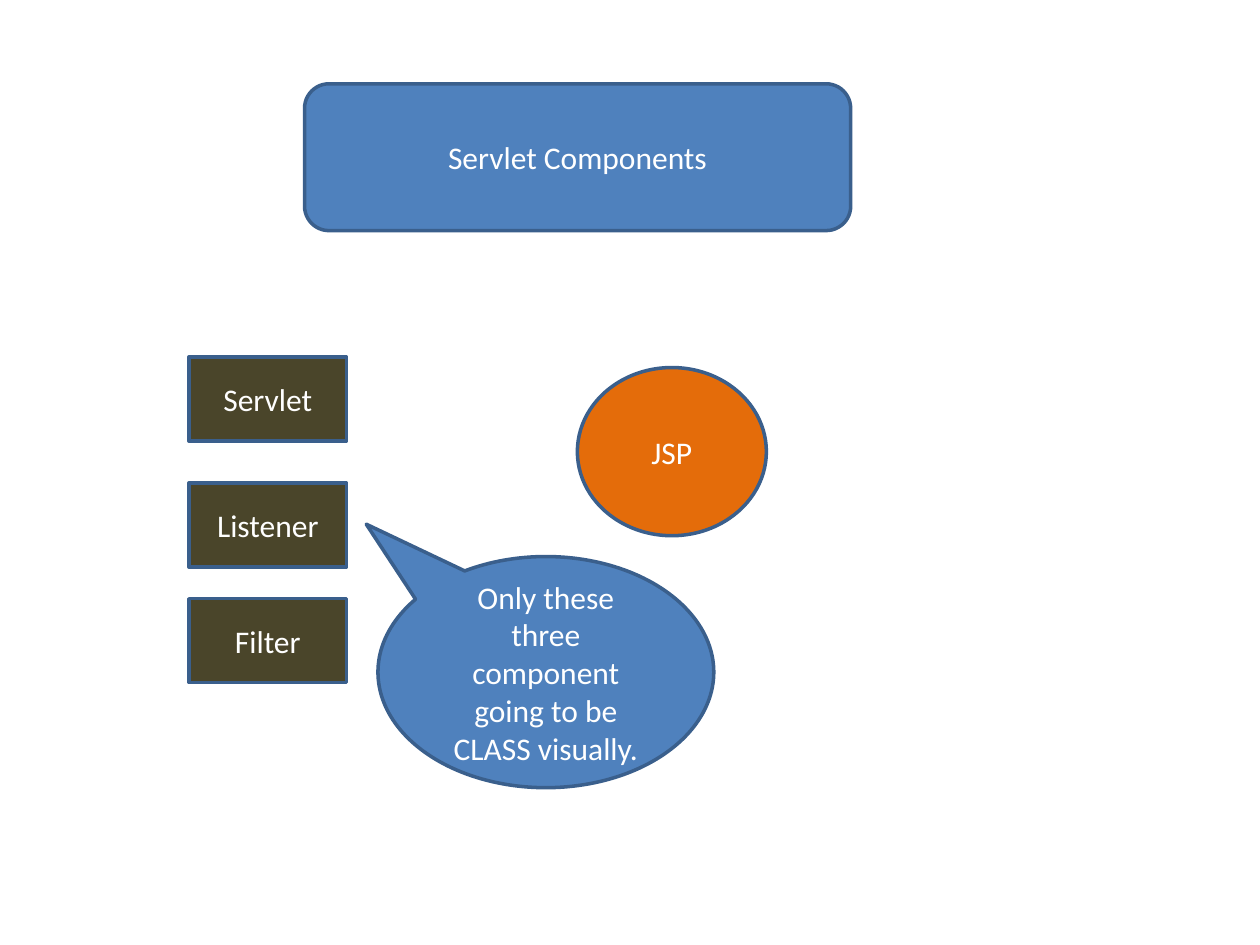
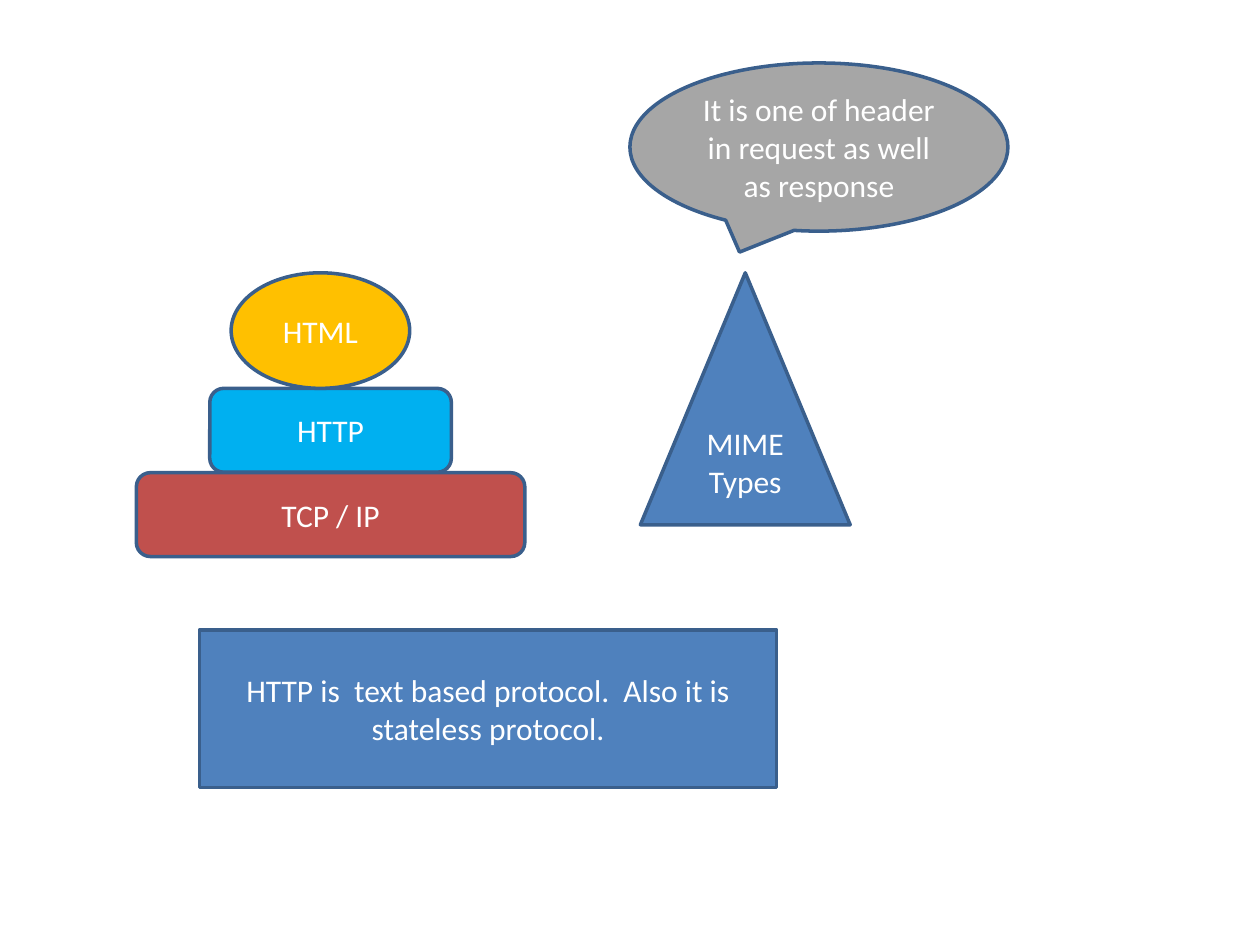
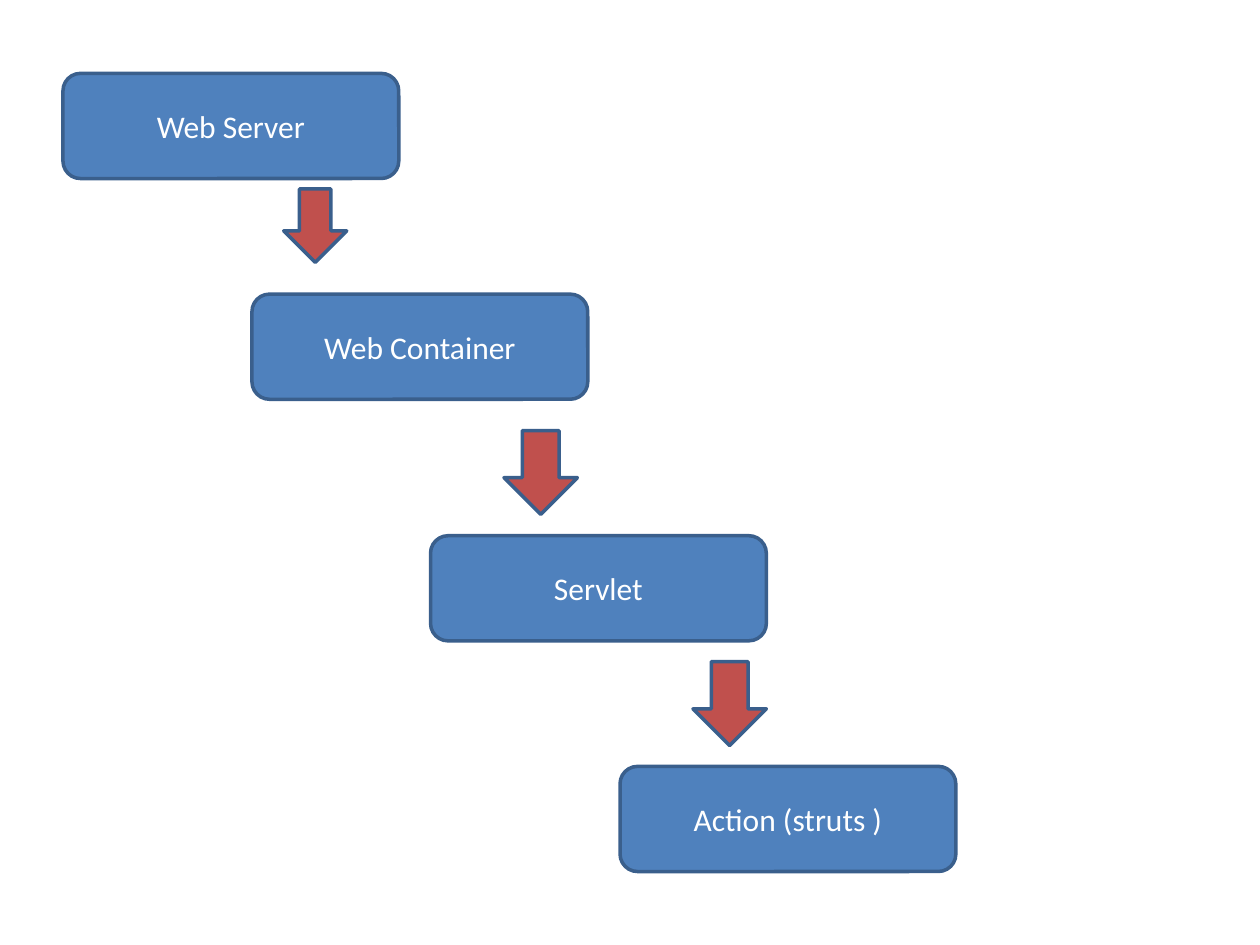
from pptx import Presentation
from pptx.dml.color import RGBColor
from pptx.enum.shapes import MSO_SHAPE
from pptx.enum.text import MSO_ANCHOR, PP_ALIGN
from pptx.util import Cm, Pt

RECT = MSO_SHAPE.RECTANGLE
ROUND = MSO_SHAPE.ROUNDED_RECTANGLE
OVAL = MSO_SHAPE.OVAL
CONE = MSO_SHAPE.ISOSCELES_TRIANGLE
BUBBLE = MSO_SHAPE.OVAL_CALLOUT
ARROW = MSO_SHAPE.DOWN_ARROW
MIDDLE = MSO_ANCHOR.MIDDLE
CENTER = PP_ALIGN.CENTER

BLUE = "4F81BD"
NAVY = "3A5F8C"
RED = "C0504D"
OLIVE = "4A452A"
ORANGE = "E46C0A"
SKY = "00B0F0"
GOLD = "FFC000"
GRAY = "A6A6A6"
WHITE = "FFFFFF"


def color(code):
    return RGBColor.from_string(code)


class Deck:
    font = "Calibri"
    size = Pt(18)
    edge = Pt(2)

    def __init__(self):
        self.prs = Presentation()
        self.prs.slide_width = Cm(25.4)
        self.prs.slide_height = Cm(19.05)
        self.slide = None

    def page(self):
        self.slide = self.prs.slides.add_slide(self.prs.slide_layouts[6])

    def shape(self, kind, left, top, width, height, fill=BLUE):
        item = self.slide.shapes.add_shape(
            kind, Cm(left), Cm(top), Cm(width), Cm(height))
        item.shadow.inherit = False
        item.fill.solid()
        item.fill.fore_color.rgb = color(fill)
        item.line.color.rgb = color(NAVY)
        item.line.width = self.edge
        return item

    def label(self, text, kind, left, top, width, height, fill=BLUE):
        item = self.shape(kind, left, top, width, height, fill)
        frame = item.text_frame
        frame.word_wrap = True
        frame.vertical_anchor = MIDDLE
        para = frame.paragraphs[0]
        para.alignment = CENTER
        run = para.add_run()
        run.text = text
        run.font.name = self.font
        run.font.size = self.size
        run.font.color.rgb = color(WHITE)
        return item

    def bubble(self, text, left, top, width, height, tip, fill=BLUE):
        item = self.label(text, BUBBLE, left, top, width, height, fill)
        item.adjustments[0], item.adjustments[1] = tip

    def arrow(self, left, top, width, height):
        self.shape(ARROW, left, top, width, height, RED)


def parts(deck):
    deck.page()
    deck.label("Servlet Components", ROUND, 6.14, 1.69, 11.01, 2.96)
    for text, top in (("Servlet", 7.2), ("Listener", 9.74), ("Filter", 12.07)):
        deck.label(text, RECT, 3.81, top, 3.18, 1.69, OLIVE)
    deck.label("JSP", OVAL, 11.64, 7.41, 3.81, 3.39, ORANGE)
    deck.bubble("Only these three component going to be CLASS visually.",
                7.62, 11.22, 6.77, 4.66, (-0.535, -0.64))


def web(deck):
    deck.page()
    deck.label("HTTP", ROUND, 4.23, 7.83, 4.87, 1.69, SKY)
    deck.label("HTML", OVAL, 4.66, 5.5, 3.6, 2.33, GOLD)
    deck.label("TCP / IP", ROUND, 2.75, 9.53, 7.83, 1.69, RED)
    deck.label("MIME Types", CONE, 12.91, 5.5, 4.23, 5.08)
    deck.bubble("It is one of header in request as well as response",
                12.7, 1.27, 7.62, 3.39, (-0.21, 0.625), GRAY)
    deck.label("HTTP is  text based protocol.  Also it is stateless protocol.",
               RECT, 4.02, 12.7, 11.64, 3.18)


def flow(deck):
    deck.page()
    steps = (("Web Server", 1.27, 1.48), ("Web Container", 5.08, 5.93),
             ("Servlet", 8.68, 10.8), ("Action (struts )", 12.5, 15.45))
    for text, left, top in steps:
        deck.label(text, ROUND, left, top, 6.77, 2.12)
    deck.arrow(5.72, 3.81, 1.27, 1.48)
    for left, top in ((10.16, 8.68), (13.97, 13.34)):
        deck.arrow(left, top, 1.48, 1.69)


def main():
    deck = Deck()
    for build in (parts, web, flow):
        build(deck)
    deck.prs.save("out.pptx")


if __name__ == "__main__":
    main()
